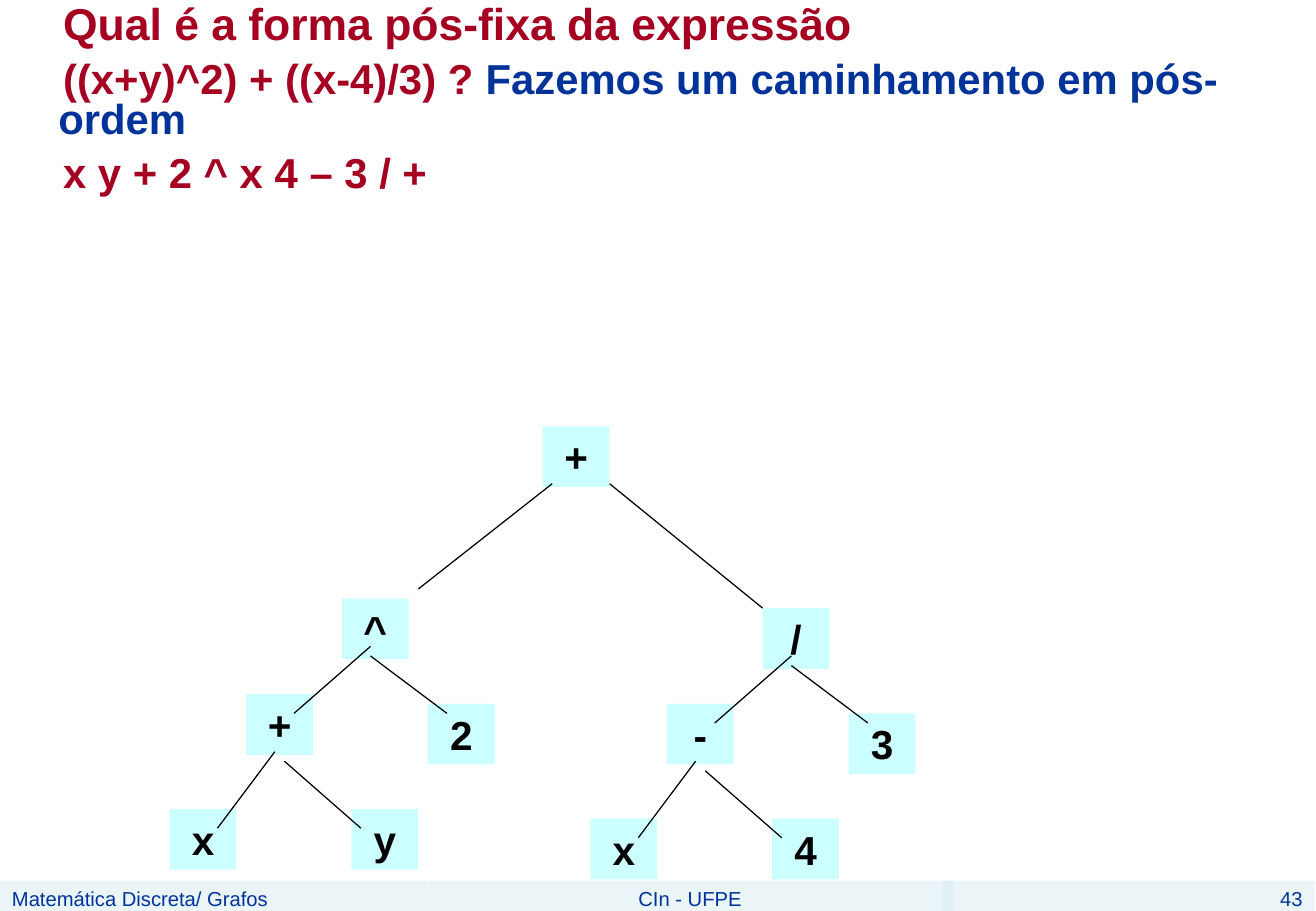
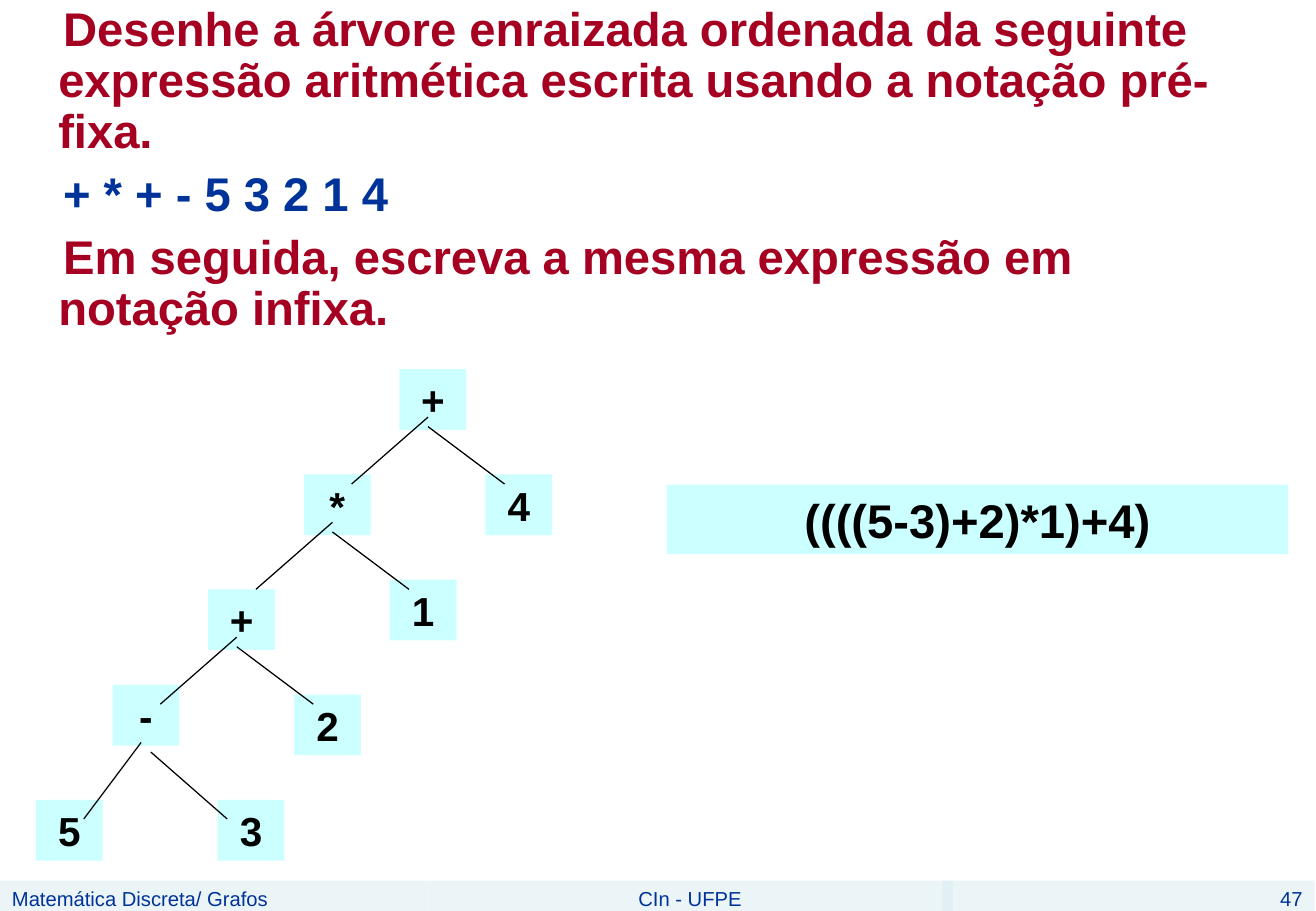
from dataclasses import dataclass
from typing import Optional

from pptx import Presentation
from pptx.dml.color import RGBColor
from pptx.enum.shapes import MSO_CONNECTOR, MSO_SHAPE
from pptx.enum.text import MSO_ANCHOR, MSO_AUTO_SIZE, PP_ALIGN
from pptx.oxml.ns import qn
from pptx.util import Inches, Pt
from lxml import etree

RECT, STRAIGHT = MSO_SHAPE.RECTANGLE, MSO_CONNECTOR.STRAIGHT
TOP, MIDDLE, NO_FIT = MSO_ANCHOR.TOP, MSO_ANCHOR.MIDDLE, MSO_AUTO_SIZE.NONE
LEFT, CENTER, RIGHT = PP_ALIGN.LEFT, PP_ALIGN.CENTER, PP_ALIGN.RIGHT

# Shared style
COLORS = {"red": "A50021", "blue": "003399", "black": "000000",
          "node": "CCFFFF", "band": "D9ECF3"}
FONT = "Arial"
SLIDE_W, SLIDE_H = 10.84, 7.5
BAND_H = 0.25
UNIT = SLIDE_W / 137.6  # step of the tree grid
NODE_W, NODE_H = 0.55, 0.5

Point = tuple[float, float]
Edge = tuple[Point, Point]


@dataclass(frozen=True)
class Fork:
    """Child offsets and edges, in grid steps from the parent's corner."""
    left: Point
    right: Point
    left_edge: Edge
    right_edge: Edge


@dataclass(frozen=True)
class Node:
    label: str
    fork: Optional[Fork] = None
    left: Optional["Node"] = None
    right: Optional["Node"] = None


@dataclass(frozen=True)
class Run:
    text: str
    color: str
    size: float


@dataclass(frozen=True)
class Body:
    width: float
    height: float
    line_spacing: float
    space_before: float
    paragraphs: list[list[Run]]


@dataclass(frozen=True)
class Band:
    left: float
    width: float
    align: PP_ALIGN
    text: str


def inner_fork(left_drop: int, right_drop: int = 11) -> Fork:
    return Fork((-10, left_drop), (9, right_drop),
                ((3, 5), (-5, 12)), ((3, 6), (11, 12)))


LEAF_FORK = Fork((-8, 12), (11, 12), ((3, 6), (-3, 14)), ((4, 7), (12, 14)))
ROOT_FORK = Fork((-21, 18), (23, 19), ((1, 6), (-13, 17)), ((7, 6), (23, 19)))


def add_run(p, run: Run, bold: bool = True) -> None:
    r = p.add_run()
    r.text = run.text
    r.font.name, r.font.size, r.font.bold = FONT, Pt(run.size), bold
    r.font.color.rgb = RGBColor.from_string(COLORS[run.color])


def add_box(slide, left: float, top: float, width: float, height: float,
            fill: str, run: Run, align=CENTER, anchor=MIDDLE,
            bold: bool = True):
    sp = slide.shapes.add_shape(RECT, Inches(left), Inches(top),
                                Inches(width), Inches(height))
    sp.shadow.inherit = False
    sp.fill.solid()
    sp.fill.fore_color.rgb = RGBColor.from_string(COLORS[fill])
    sp.line.fill.background()
    tf = sp.text_frame
    tf.word_wrap, tf.vertical_anchor = True, anchor
    p = tf.paragraphs[0]
    p.alignment = align
    add_run(p, run, bold)
    return sp


def add_footer(slide, number: int) -> None:
    bands = [Band(0, 3.52, LEFT, "Matemática Discreta/ Grafos"),
             Band(3.52, 4.33, CENTER, "CIn - UFPE"),
             Band(7.76, 3.07, RIGHT, str(number))]
    for band in bands:
        sp = add_box(slide, band.left, SLIDE_H - BAND_H, band.width, BAND_H,
                     "band", Run(band.text, "blue", 12), band.align, TOP, False)
        color = sp.fill._xPr.find(qn("a:solidFill"))[0]
        etree.SubElement(color, qn("a:alpha")).set("val", "50000")


def add_body(slide, body: Body) -> None:
    sp = slide.placeholders[1]
    sp.left, sp.top = Inches(0), Inches(0)
    sp.width, sp.height = Inches(body.width), Inches(body.height)
    tf = sp.text_frame
    tf.word_wrap, tf.auto_size, tf.vertical_anchor = True, NO_FIT, TOP
    for i, runs in enumerate(body.paragraphs):
        p = tf.add_paragraph() if i else tf.paragraphs[0]
        pPr = p._p.get_or_add_pPr()
        pPr.set("marL", str(Inches(0.38)))
        pPr.set("indent", str(Inches(0.04)))
        etree.SubElement(pPr, qn("a:buNone"))
        p.line_spacing = body.line_spacing
        p.space_before = Pt(body.space_before if i else 0)
        for run in runs:
            add_run(p, run)


def add_edge(slide, origin: Point, edge: Edge) -> None:
    ends = [Inches(origin[axis] + point[axis] * UNIT)
            for point in edge for axis in (0, 1)]
    line = slide.shapes.add_connector(STRAIGHT, *ends)
    line.line.color.rgb = RGBColor.from_string(COLORS["black"])
    line.line.width = Pt(0.75)
    etree.SubElement(line._element.spPr, qn("a:effectLst"))


def add_tree(slide, node: Node, x: float, y: float) -> None:
    add_box(slide, x, y, NODE_W, NODE_H, "node", Run(node.label, "black", 24))
    fork = node.fork
    if fork is None:
        return
    for child, (dx, dy), edge in ((node.left, fork.left, fork.left_edge),
                                  (node.right, fork.right, fork.right_edge)):
        add_tree(slide, child, x + dx * UNIT, y + dy * UNIT)
        add_edge(slide, (x, y), edge)


def add_slide(prs, number: int, body: Body, tree: Node, root: Point):
    slide = prs.slides.add_slide(prs.slide_layouts[1])
    title = slide.shapes.title._element
    title.getparent().remove(title)
    add_footer(slide, number)
    add_body(slide, body)
    add_tree(slide, tree, *root)
    return slide


def main() -> None:
    prs = Presentation()
    prs.slide_width, prs.slide_height = Inches(SLIDE_W), Inches(SLIDE_H)

    # Postfix form
    postfix = Body(10.22, 1.97, 0.8, 8, [
        [Run("Qual é a forma pós-fixa da expressão", "red", 26.4)],
        [Run("((x+y)^2) + ((x-4)/3) ? ", "red", 24.8),
         Run("Fazemos um caminhamento em pós-ordem", "blue", 24.8)],
        [Run("x y + 2 ^ x 4 – 3 / +", "red", 24.8)]])
    power = Node("^", inner_fork(10),
                 Node("+", LEAF_FORK, Node("x"), Node("y")), Node("2"))
    quotient = Node("/", inner_fork(10),
                    Node("-", LEAF_FORK, Node("x"), Node("4")), Node("3"))
    add_slide(prs, 43, postfix, Node("+", ROOT_FORK, power, quotient),
              (4.47, 3.51))

    # Prefix to infix
    prefix = Body(10.38, 2.88, 0.9, 7, [
        [Run("Desenhe a árvore enraizada ordenada da seguinte expressão "
             "aritmética escrita usando a notação pré-fixa.", "red", 28)],
        [Run("+ * + - 5 3 2 1 4", "blue", 28)],
        [Run("Em seguida, escreva a mesma expressão em notação infixa.",
             "red", 28)]])
    difference = Node("-", LEAF_FORK, Node("5"), Node("3"))
    total = Node("+", inner_fork(10), difference, Node("2"))
    product = Node("*", inner_fork(12), total, Node("1"))
    slide = add_slide(prs, 47, prefix,
                      Node("+", inner_fork(11), product, Node("4")),
                      (3.29, 3.04))
    add_box(slide, 5.49, 3.99, 5.12, 0.57, "node",
            Run("((((5-3)+2)*1)+4)", "black", 28))

    prs.save("out.pptx")


if __name__ == "__main__":
    main()
